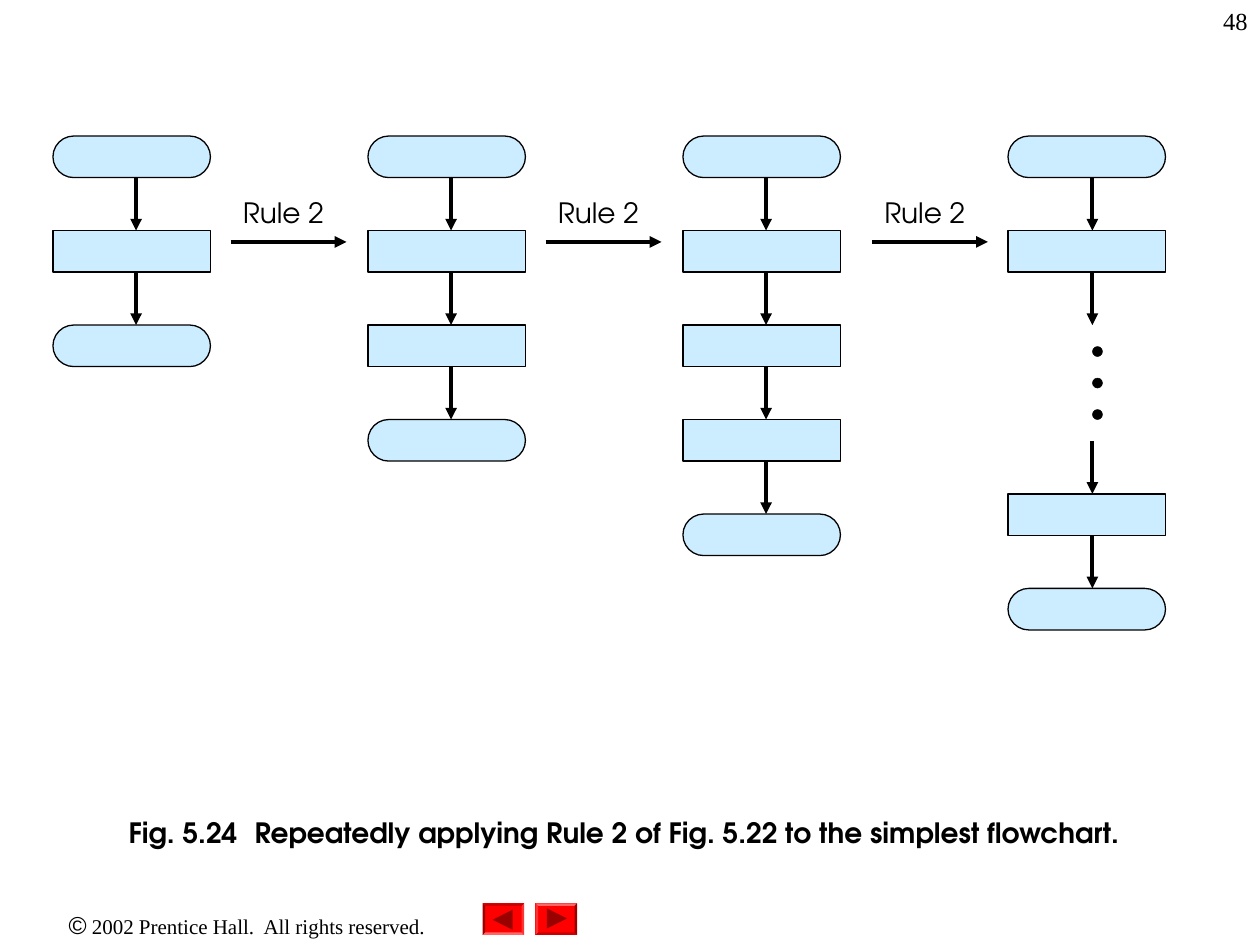
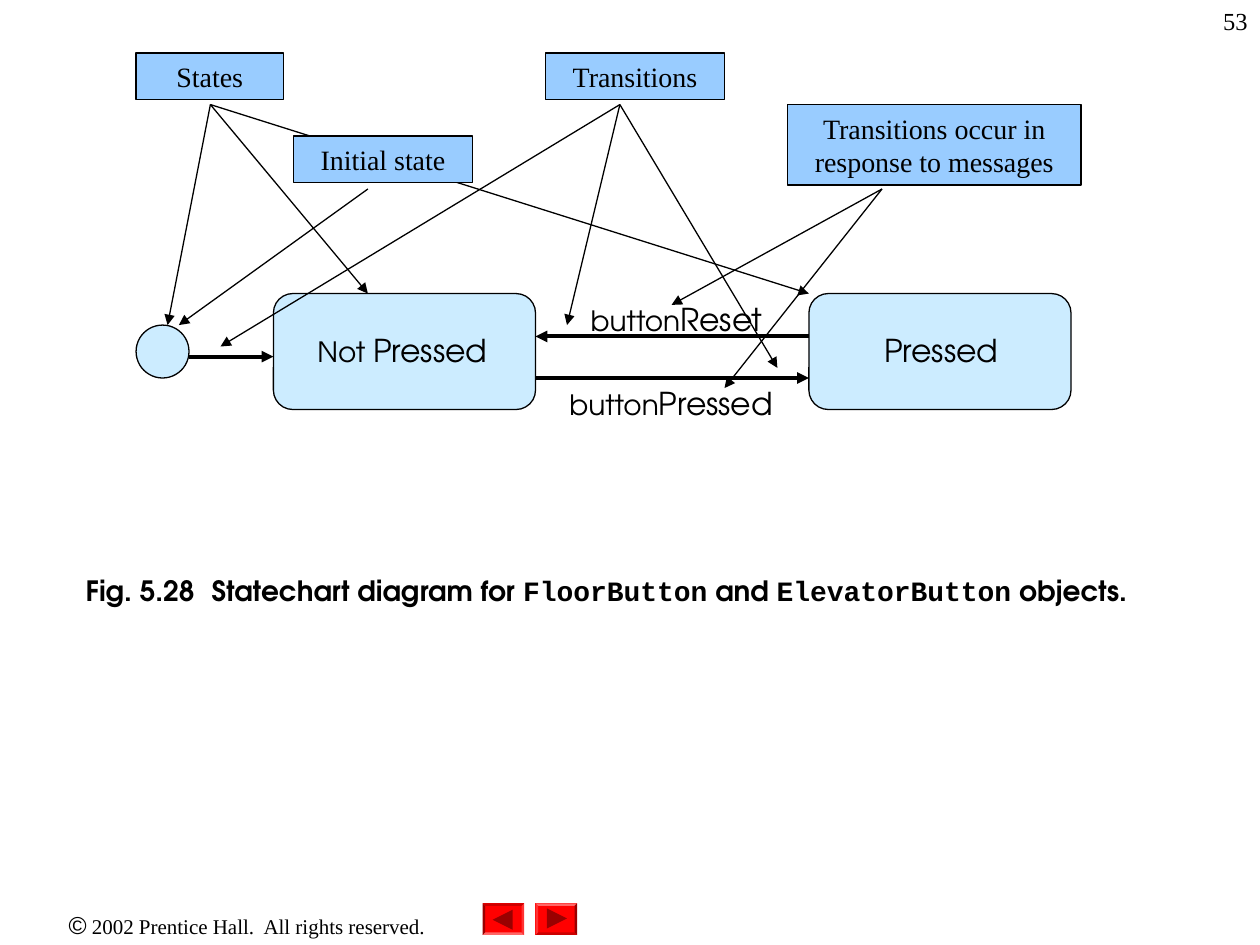
from dataclasses import dataclass

from lxml.etree import SubElement
from pptx import Presentation
from pptx.dml.color import RGBColor
from pptx.enum.shapes import MSO_CONNECTOR, MSO_SHAPE
from pptx.enum.text import MSO_ANCHOR, MSO_AUTO_SIZE, PP_ALIGN
from pptx.oxml.ns import qn
from pptx.util import Inches, Pt


@dataclass(frozen=True)
class Theme:
    ink: str = "000000"
    node: str = "CCECFF"
    callout: str = "99CCFF"
    button: str = "FF0000"
    button_light: str = "FF6666"
    button_pale: str = "FF3333"
    button_dim: str = "CC0000"
    button_dark: str = "990000"
    sans: str = "TeX Gyre Adventor"
    serif: str = "Times New Roman"
    mono: str = "Courier New"
    symbol: str = "Arial"
    small: float = 12
    medium: float = 14
    text: float = 16
    large: float = 18
    thin: float = 0.75
    thick: float = 2.25
    hairline: float = 0.25


theme = Theme()


def write(shape, runs, align=PP_ALIGN.LEFT, wrap=True, bold=False):
    frame = shape.text_frame
    frame.word_wrap = wrap
    paragraph = frame.paragraphs[0]
    paragraph.alignment = align
    for text, face, size in runs:
        run = paragraph.add_run()
        run.text = text
        run.font.color.rgb = RGBColor.from_string(theme.ink)
        for attribute, value in {"name": face, "size": Pt(size), "bold": bold}.items():
            setattr(run.font, attribute, value)


def add_arrow(shapes, start, end, weight):
    ends = [Inches(value) for value in (*start, *end)]
    arrow = shapes.add_connector(MSO_CONNECTOR.STRAIGHT, *ends)
    arrow.line.color.rgb = RGBColor.from_string(theme.ink)
    arrow.line.width = Pt(weight)
    properties = arrow.element.spPr
    SubElement(properties.find(qn("a:ln")), qn("a:tailEnd"), type="triangle")
    SubElement(properties, qn("a:effectLst"))


prs = Presentation()
prs.slide_width, prs.slide_height = Inches(10), Inches(7.5)
layout = prs.slide_layouts[5]
for holder in list(layout.placeholders)[1:]:
    holder.element.getparent().remove(holder.element)
painted = []

captions = [
    ("48", (0.92, 6.42, 8.17, 0.37), [
        ("Fig. 5.24\tRepeatedly applying Rule 2 of Fig. 5.22 to the simplest flowchart.", theme.sans),
    ]),
    ("53", (0.58, 4.5, 8.5, 0.37), [
        ("Fig. 5.28\tStatechart diagram for ", theme.sans),
        ("FloorButton", theme.mono),
        (" and ", theme.sans),
        ("ElevatorButton", theme.mono),
        (" objects.", theme.sans),
    ]),
]
slides = []
for number, place, pieces in captions:
    slide = prs.slides.add_slide(layout)
    slides.append(slide)
    caption = slide.shapes.title
    for side, value in zip(("left", "top", "width", "height"), place):
        setattr(caption, side, Inches(value))
    caption.text_frame.auto_size = MSO_AUTO_SIZE.NONE
    caption.text_frame.vertical_anchor = MSO_ANCHOR.TOP
    write(caption, [(text, face, theme.text) for text, face in pieces], bold=True)
    page = slide.shapes.add_textbox(Inches(7.92), 0, Inches(2.08), Inches(0.5))
    write(page, [(number, theme.serif, theme.medium)], PP_ALIGN.RIGHT)
flowcharts, statechart = slides

copyright_line = flowcharts.shapes.add_textbox(0, Inches(7.17), Inches(3.92), Inches(0.34))
write(copyright_line, [
    ("©", theme.symbol, theme.medium),
    (" 2002 Prentice Hall.  All rights reserved.", theme.serif, theme.small),
], PP_ALIGN.CENTER)
footer = [copyright_line]

wide, high, rim = 0.33, 0.25, 0.02
outer = [(0, 0), (wide, 0), (wide, high), (0, high)]
inner = [(rim, rim), (wide - rim, rim), (wide - rim, high - rim), (rim, high - rim)]
facets = [(outer, theme.button)]
edges = [theme.button_light, theme.button_dark, theme.button_dim, theme.button_pale]
for side, shade in enumerate(edges):
    after = (side + 1) % 4
    facets.append(([outer[side], outer[after], inner[after], inner[side]], shade))
facets.append(([(0.09, 0.04), (0.25, 0.12), (0.09, 0.2)], theme.button_dark))
for button_left, turned in ((4.25, False), (3.83, True)):
    for corners, shade in facets:
        if turned:
            corners = [(wide - x, high - y) for x, y in corners]
        points = [(Inches(button_left + x), Inches(7.17 + y)) for x, y in corners]
        outline = flowcharts.shapes.build_freeform(*points[0])
        outline.add_line_segments(points[1:], close=True)
        facet = outline.convert_to_shape()
        painted.append((facet, shade, 0))
        footer.append(facet)
for part in footer:
    layout.shapes.element.append(part.element)

node_width, node_height, arrow_length, pitch = 1.25, 0.33, 0.42, 0.75
first_top = 1.08
columns = [
    (0.42, 1.08, [first_top + pitch * row for row in range(3)]),
    (2.92, 3.58, [first_top + pitch * row for row in range(4)]),
    (5.42, 6.08, [first_top + pitch * row for row in range(5)]),
    (8, 8.67, [first_top, first_top + pitch, 3.92, 3.92 + pitch]),
]
for left, flow_x, tops in columns:
    for top in tops:
        terminal = top in (tops[0], tops[-1])
        preset = MSO_SHAPE.ROUNDED_RECTANGLE if terminal else MSO_SHAPE.RECTANGLE
        node = flowcharts.shapes.add_shape(
            preset, Inches(left), Inches(top), Inches(node_width), Inches(node_height))
        if terminal:
            node.adjustments[0] = 0.5
        painted.append((node, theme.node, theme.thin))
    for top in tops[1:]:
        add_arrow(flowcharts.shapes, (flow_x, top - arrow_length), (flow_x, top), theme.thick)
add_arrow(flowcharts.shapes, (8.67, 2.17), (8.67, 2.58), theme.thick)
for row in range(3):
    dot = flowcharts.shapes.add_shape(
        MSO_SHAPE.OVAL, Inches(8.67), Inches(2.75 + 0.25 * row), Inches(0.08), Inches(0.08))
    painted.append((dot, theme.ink, theme.hairline))
for left in (1.83, 4.33, 6.92):
    add_arrow(flowcharts.shapes, (left, 1.92), (left + 0.92, 1.92), theme.thick)
    rule = flowcharts.shapes.add_textbox(Inches(left), Inches(1.5), Inches(0.92), Inches(0.37))
    write(rule, [("Rule 2", theme.sans, theme.text)])

for preset, place in (
    (MSO_SHAPE.OVAL, (1.08, 2.58, 0.42, 0.42)),
    (MSO_SHAPE.ROUNDED_RECTANGLE, (2.17, 2.33, 2.08, 0.92)),
    (MSO_SHAPE.ROUNDED_RECTANGLE, (6.42, 2.33, 2.08, 0.92)),
):
    state = statechart.shapes.add_shape(preset, *map(Inches, place))
    painted.append((state, theme.node, theme.thin))
for start, end in (
    ((1.5, 2.83), (2.17, 2.83)),
    ((4.25, 3), (6.42, 3)),
    ((6.42, 2.67), (4.25, 2.67)),
):
    add_arrow(statechart.shapes, start, end, theme.thick)
for place, lead, name in (
    ((2.42, 2.58, 1.58, 0.4), "Not ", "Pressed"),
    ((6.92, 2.58, 1.11, 0.4), "", "Pressed"),
    ((4.42, 3, 1.83, 0.4), "button", "Pressed"),
    ((4.59, 2.33, 1.57, 0.4), "button", "Reset"),
):
    label = statechart.shapes.add_textbox(*map(Inches, place))
    runs = [(lead, theme.sans, theme.text), (name, theme.sans, theme.large)]
    write(label, [run for run in runs if run[0]], wrap=False)

callouts = [
    ("States", (1.08, 0.42, 1.17, 0.37), (1.67, 0.83),
     [(1.33, 2.58), (2.92, 2.33), (6.42, 2.33)]),
    ("Initial state", (2.33, 1.08, 1.42, 0.37), (2.92, 1.5), [(1.42, 2.58)]),
    ("Transitions", (4.33, 0.42, 1.42, 0.37), (4.92, 0.83),
     [(1.75, 2.75), (4.5, 2.58), (6.17, 2.92)]),
    ("Transitions occur in response to messages", (6.25, 0.83, 2.33, 0.64), (7, 1.5),
     [(5.33, 2.42), (5.75, 3.08)]),
]
for text, place, origin, targets in callouts:
    group = statechart.shapes.add_group_shape()
    callout = group.shapes.add_shape(MSO_SHAPE.RECTANGLE, *map(Inches, place))
    write(callout, [(text, theme.serif, theme.text)], PP_ALIGN.CENTER)
    painted.append((callout, theme.callout, theme.thin))
    for target in targets:
        add_arrow(group.shapes, origin, target, theme.thin)

for shape, fill, weight in painted:
    shape.shadow.inherit = False
    shape.fill.solid()
    shape.fill.fore_color.rgb = RGBColor.from_string(fill)
    if weight:
        shape.line.color.rgb = RGBColor.from_string(theme.ink)
        shape.line.width = Pt(weight)
    else:
        shape.line.fill.background()

prs.save("out.pptx")
